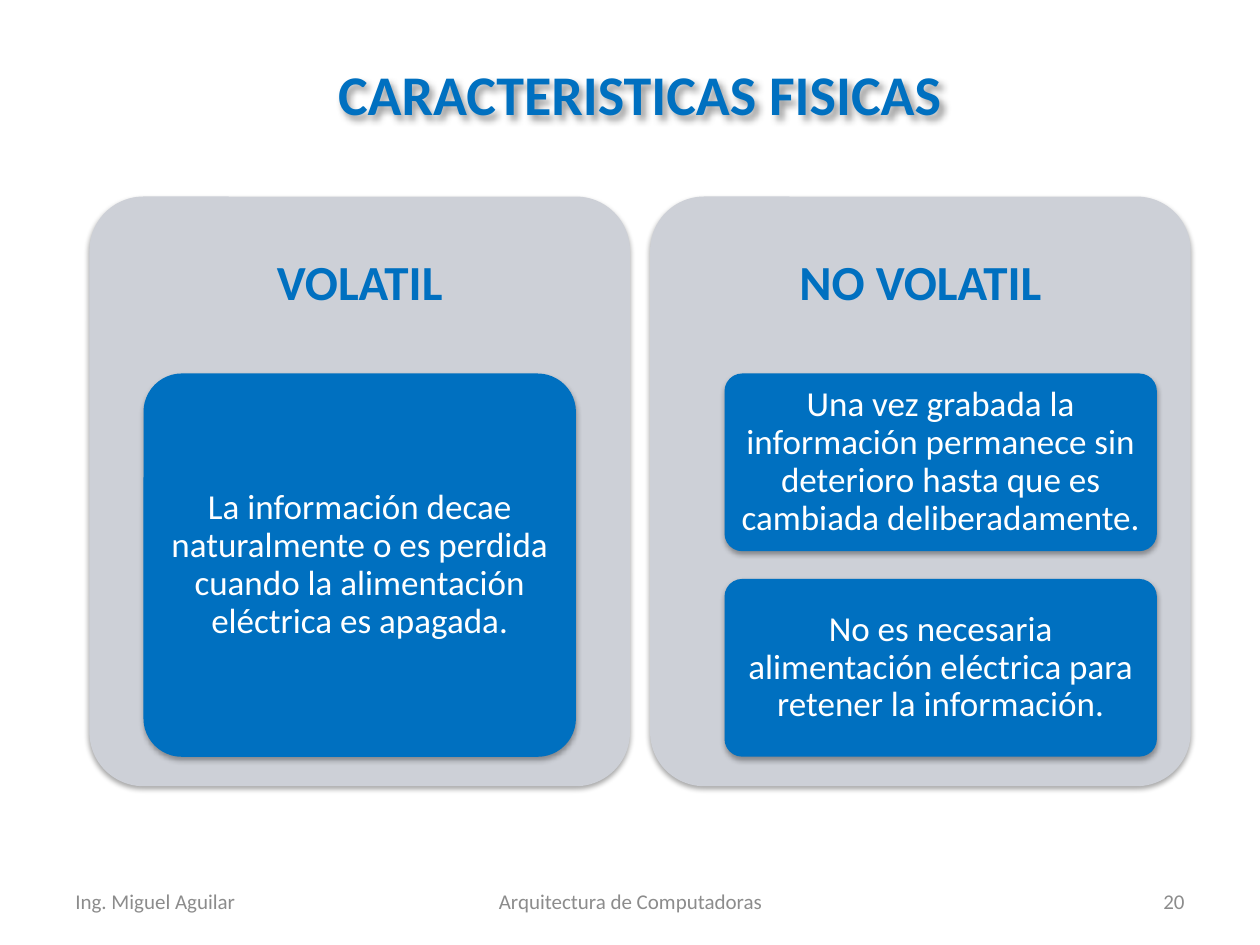
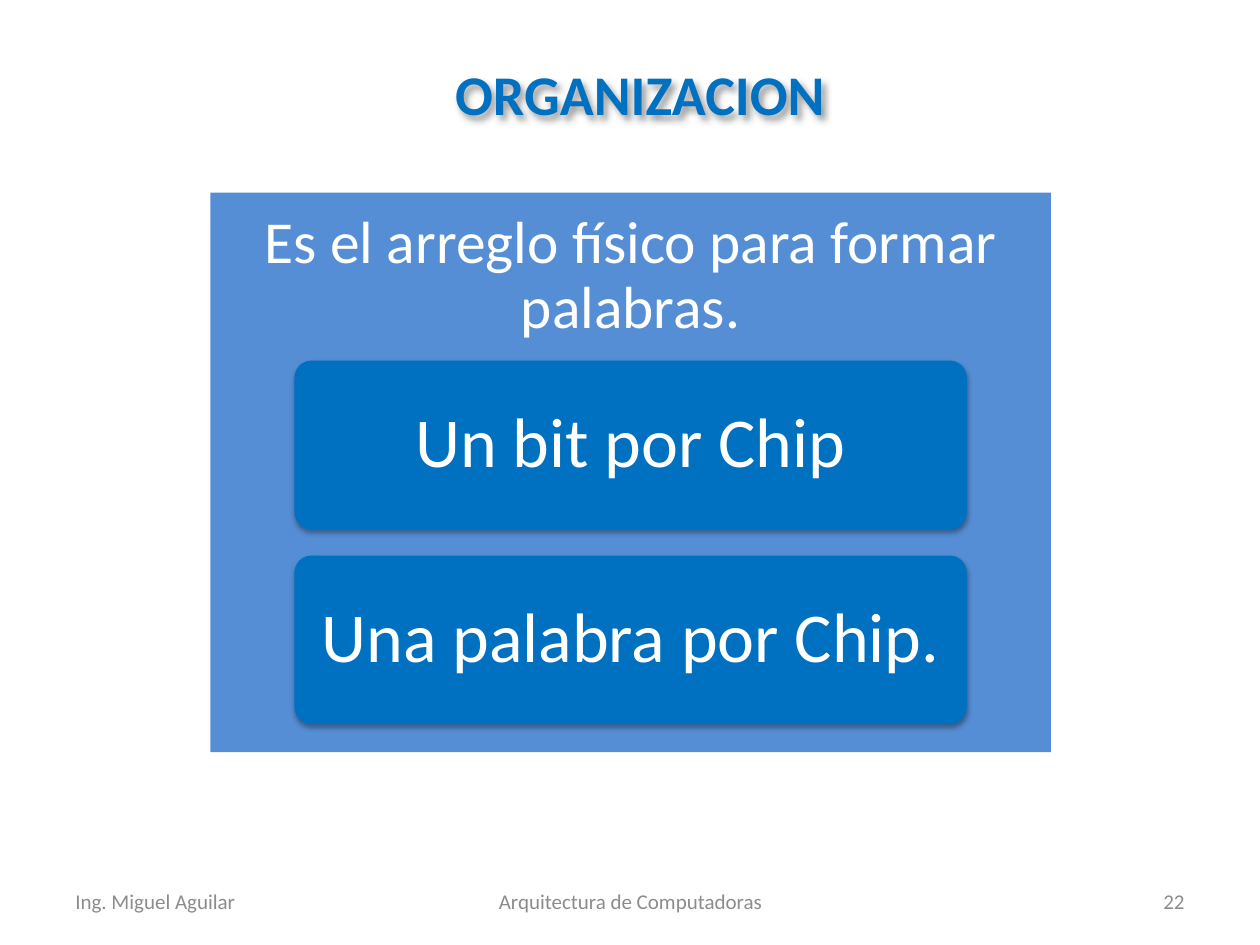
from collections import namedtuple

from lxml import etree
from pptx import Presentation
from pptx.dml.color import RGBColor
from pptx.enum.shapes import MSO_SHAPE
from pptx.enum.text import MSO_ANCHOR, MSO_AUTO_SIZE, PP_ALIGN
from pptx.oxml.ns import qn
from pptx.util import Inches, Pt

BLUE = RGBColor(0x00, 0x70, 0xC0)
LIGHT_BLUE = RGBColor(0x55, 0x8E, 0xD5)
PANEL_GRAY = RGBColor(0xCD, 0xD0, 0xD7)
FOOTER_GRAY = RGBColor(0x8C, 0x8C, 0x8C)
WHITE = RGBColor(0xFF, 0xFF, 0xFF)

RECTANGLE, ROUNDED = MSO_SHAPE.RECTANGLE, MSO_SHAPE.ROUNDED_RECTANGLE
LEFT, CENTER, RIGHT = PP_ALIGN.LEFT, PP_ALIGN.CENTER, PP_ALIGN.RIGHT
MIDDLE = MSO_ANCHOR.MIDDLE
NO_AUTO_SIZE = MSO_AUTO_SIZE.NONE

FONT = "Calibri"
CORNER = 0.1
TITLE_ONLY = 5
HEADER_SHARE = 0.3
CARDS_SHARE = 0.65
CARD_WIDTH_SHARE = 0.8
CARD_GAP_SHARE = 0.047
CARD_SHADOW = {"blur": 3.1, "distance": 1.8, "angle": 90, "opacity": 35}
TITLE_SHADOW = {"blur": 4, "distance": 3, "angle": 50, "opacity": 40}

Box = namedtuple("Box", "left top width height")
TITLE_BOX = Box(2.19, 0.39, 5.78, 0.7)


def inches(box):
    return [Inches(length) for length in box]


def add_shadow(shape, blur, distance, angle, opacity):
    shape.shadow.inherit = False
    effects = shape._element.spPr.find(qn("a:effectLst"))
    shadow = etree.SubElement(effects, qn("a:outerShdw"), {
        "blurRad": str(Pt(blur)), "dist": str(Pt(distance)),
        "dir": str(angle * 60000), "algn": "ctr", "rotWithShape": "0"})
    color = etree.SubElement(shadow, qn("a:srgbClr"), val="000000")
    etree.SubElement(color, qn("a:alpha"), val=str(opacity * 1000))


def write(shape, text, margins=(0.1, 0.05), align=CENTER, spacing=1.0, **font):
    """Fill a shape with one paragraph; margins are horizontal, vertical."""
    frame = shape.text_frame
    across, down = (Inches(margin) for margin in margins)
    layout = {"word_wrap": True, "auto_size": NO_AUTO_SIZE,
              "vertical_anchor": MIDDLE, "margin_left": across,
              "margin_right": across, "margin_top": down, "margin_bottom": down}
    for name, value in layout.items():
        setattr(frame, name, value)
    para = frame.paragraphs[0]
    para.alignment, para.line_spacing = align, spacing
    span = para.add_run()
    span.text = text
    span.font.color.rgb = font.pop("color")
    span.font.name = FONT
    for name, value in font.items():
        setattr(span.font, name, value)


def add_filled(page, kind, box, fill, shadow=None):
    shape = page.shapes.add_shape(kind, *inches(box))
    shape.fill.solid()
    shape.fill.fore_color.rgb = fill
    shape.line.fill.background()
    shape.shadow.inherit = False
    if kind == ROUNDED:
        shape.adjustments[0] = CORNER
    if shadow:
        add_shadow(shape, **shadow)
    return shape


def add_cards(page, box, texts, gap, margins, size):
    height = (box.height - gap * (len(texts) - 1)) / len(texts)
    for index, text in enumerate(texts):
        card_box = box._replace(top=box.top + index * (height + gap), height=height)
        card = add_filled(page, ROUNDED, card_box, BLUE, CARD_SHADOW)
        write(card, text, margins, spacing=0.9, size=Pt(size), color=WHITE)


def add_panel(page, box, panel, heading, heading_format, texts, card_format,
              card_indent=None):
    """Draw a panel with a heading band and equal cards stacked below it."""
    add_filled(page, box=box, **panel)
    header_height = box.height * HEADER_SHARE
    header = page.shapes.add_textbox(*inches(box._replace(height=header_height)))
    write(header, heading, spacing=0.9, **heading_format)
    width = box.width * CARD_WIDTH_SHARE
    if card_indent is None:
        card_indent = (box.width - width) / 2
    cards_box = Box(box.left + card_indent, box.top + header_height,
                    width, box.height * CARDS_SHARE)
    add_cards(page, cards_box, texts, box.height * CARD_GAP_SHARE, **card_format)


def add_footer(page, number):
    parts = [("Ing. Miguel Aguilar", 0.5, 2.33, LEFT),
             ("Arquitectura de Computadoras", 3.42, 3.17, CENTER),
             (str(number), 7.17, 2.33, RIGHT)]
    for text, left, width, align in parts:
        part = page.shapes.add_textbox(*inches(Box(left, 6.95, width, 0.4)))
        write(part, text, align=align, size=Pt(12), color=FOOTER_GRAY)


def add_page(deck, title, number):
    page = deck.slides.add_slide(deck.slide_layouts[TITLE_ONLY])
    heading = page.shapes.title
    heading.left, heading.top, heading.width, heading.height = inches(TITLE_BOX)
    write(heading, title, size=Pt(32), bold=True, color=BLUE)
    add_shadow(heading, **TITLE_SHADOW)
    add_footer(page, number)
    return page


def add_physical_features(deck):
    page = add_page(deck, "CARACTERISTICAS FISICAS", 20)
    style = {
        "panel": {"kind": ROUNDED, "fill": PANEL_GRAY, "shadow": CARD_SHADOW},
        "heading_format": {"margins": (0.12, 0.12), "size": Pt(28),
                           "bold": True, "color": BLUE},
        "card_format": {"margins": (0.06, 0.04), "size": 20},
    }
    volatile_box = Box(0.71, 1.56, 4.29, 4.68)
    add_panel(page, volatile_box, heading="VOLATIL", texts=[
        "La información decae naturalmente o es perdida cuando la "
        "alimentación eléctrica es apagada."], **style)
    add_panel(page, volatile_box._replace(left=5.16), heading="NO VOLATIL", texts=[
        "Una vez grabada la información permanece sin deterioro hasta que "
        "es cambiada deliberadamente.",
        "No es necesaria alimentación eléctrica para retener la información.",
    ], card_indent=0.59, **style)


def add_organization(deck):
    page = add_page(deck, "ORGANIZACION", 22)
    add_panel(
        page, Box(1.67, 1.53, 6.67, 4.44),
        panel={"kind": RECTANGLE, "fill": LIGHT_BLUE},
        heading="Es el arreglo físico para formar palabras.",
        heading_format={"margins": (0.14, 0.14), "size": Pt(34), "color": WHITE},
        texts=["Un bit por Chip", "Una palabra por Chip."],
        card_format={"margins": (0.11, 0.08), "size": 40})


def main():
    deck = Presentation()
    deck.slide_width, deck.slide_height = Inches(10), Inches(7.5)
    add_physical_features(deck)
    add_organization(deck)
    deck.save("out.pptx")


if __name__ == "__main__":
    main()
